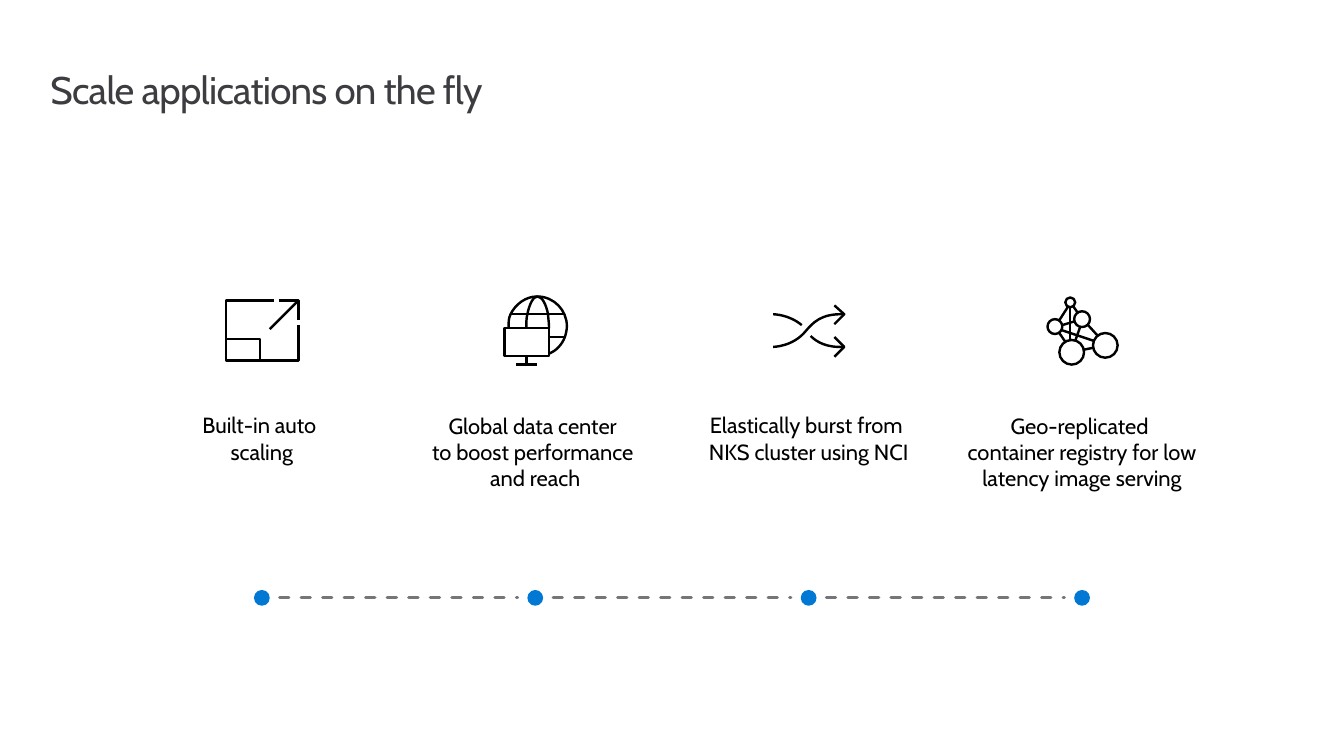
import lxml.etree
import pptx
import pptx.dml.color
import pptx.enum.dml
import pptx.enum.shapes
import pptx.enum.text
import pptx.oxml.ns
import pptx.util

Inches = pptx.util.Inches
qn = pptx.oxml.ns.qn
FONT = "Cabin"
FIRST_CENTER, LAST_CENTER = 2.65, 10.95
ICON_TOP, TEXT_TOP, TIMELINE_Y = 3.0, 4.01, 6.05


def color(hex_string):
    return pptx.dml.color.RGBColor.from_string(hex_string)


def line(*points):
    return False, points


def curve(*points):
    """A start point, then two control points and an end point per segment."""
    return True, points


def circle(left, top, diameter):
    radius = diameter / 2
    pull = 0.55
    unit = [(-1, 0), (-1, -pull), (-pull, -1), (0, -1), (pull, -1), (1, -pull), (1, 0),
            (1, pull), (pull, 1), (0, 1), (-pull, 1), (-1, pull), (-1, 0)]
    return curve(*((left + radius * (1 + x), top + radius * (1 + y)) for x, y in unit))


# Each icon is a list of strokes, in inches from the icon's top left corner
RESIZE_ICON = [
    line((0.53, 0.04), (0.73, 0.04), (0.73, 0.24)),
    line((0.73, 0.04), (0.44, 0.33)),
    line((0.48, 0.04), (0, 0.04), (0, 0.65), (0.73, 0.65), (0.73, 0.29)),
    line((0.34, 0.65), (0.34, 0.43), (0, 0.43)),
]
GLOBE_ICON = [
    curve((0.5, 0.58), (0.57, 0.55), (0.63, 0.49), (0.66, 0.41),
          (0.67, 0.38), (0.68, 0.34), (0.68, 0.3),
          (0.68, 0.14), (0.55, 0), (0.38, 0),
          (0.26, 0), (0.16, 0.08), (0.11, 0.18),
          (0.09, 0.22), (0.09, 0.26), (0.09, 0.32)),
    curve((0.27, 0.32), (0.27, 0.26), (0.27, 0.22), (0.28, 0.18),
          (0.3, 0.08), (0.34, 0), (0.38, 0),
          (0.43, 0), (0.47, 0.08), (0.49, 0.18),
          (0.49, 0.22), (0.5, 0.26), (0.5, 0.32)),
    line((0.11, 0.18), (0.66, 0.18)),
    line((0.5, 0.41), (0.66, 0.41)),
    line((0.05, 0.32), (0.5, 0.32), (0.5, 0.6), (0.05, 0.6), (0.05, 0.32)),
    line((0.27, 0.6), (0.27, 0.69)),
    line((0.17, 0.69), (0.38, 0.69)),
]
SHUFFLE_ICON = [
    curve((0.72, 0.51), (0.54, 0.52), (0.44, 0.46), (0.38, 0.4)),
    curve((0.29, 0.29), (0.16, 0.18), (0, 0.18), (0, 0.18)),
    curve((0.72, 0.18), (0.48, 0.17), (0.4, 0.27), (0.33, 0.35),
          (0.2, 0.51), (0, 0.51), (0, 0.51)),
    line((0.62, 0.28), (0.72, 0.18), (0.62, 0.09)),
    line((0.62, 0.61), (0.72, 0.51), (0.62, 0.41)),
]
NETWORK_ICON = [
    circle(0.19, 0.01, 0.1),
    circle(0.01, 0.23, 0.15),
    circle(0.13, 0.44, 0.25),
    circle(0.28, 0.15, 0.16),
    circle(0.47, 0.37, 0.25),
    line((0.47, 0.52), (0.37, 0.54)),
    line((0.16, 0.29), (0.29, 0.25)),
    line((0.29, 0.45), (0.34, 0.31)),
    line((0.19, 0.46), (0.13, 0.37)),
    line((0.48, 0.45), (0.15, 0.34)),
    line((0.22, 0.1), (0.13, 0.24)),
    line((0.52, 0.4), (0.42, 0.29)),
    line((0.24, 0.44), (0.24, 0.11)),
    line((0.27, 0.1), (0.32, 0.17)),
]

# Icon, caption lines and caption height of each feature
FEATURES = [
    (RESIZE_ICON, ["Built-in auto ", "scaling"], 0.86),
    (GLOBE_ICON, ["Global data center ", "to boost performance ", "and reach"], 1.12),
    (SHUFFLE_ICON, ["Elastically burst from ", "NKS cluster using NCI"], 0.86),
    (NETWORK_ICON, ["Geo-replicated ",
                    "container registry for low latency image serving"], 1.12),
]


def add_text(page, left, top, width, height, lines, size, hex_string, inset=0):
    box = page.shapes.add_textbox(Inches(left), Inches(top), Inches(width), Inches(height))
    frame = box.text_frame
    frame.word_wrap = True
    frame.auto_size = pptx.enum.text.MSO_AUTO_SIZE.SHAPE_TO_FIT_TEXT
    frame.margin_left = frame.margin_right = Inches(inset)
    frame.margin_top = frame.margin_bottom = Inches(inset)
    para = frame.paragraphs[0]
    for number, text in enumerate(lines):
        if number:
            para.add_line_break()
        para.add_run().text = text
    para.font.name = FONT
    para.font.size = pptx.util.Pt(size)
    para.font.color.rgb = color(hex_string)
    return para


def add_title(page, left, top, width, height):
    para = add_text(page, left, top, width, height,
                    ["Scale applications on the fly"], 28, "3C3C41")
    para.line_spacing = pptx.util.Pt(32)
    for span in para.runs:
        span.font._element.set("spc", "-50")


def bend(segments):
    """Turn each three straight segments into one cubic curve."""
    for i in range(0, len(segments), 3):
        cubic = lxml.etree.Element(qn("a:cubicBezTo"))
        segments[i].addprevious(cubic)
        for segment in segments[i:i + 3]:
            cubic.append(segment[0])
            segment.getparent().remove(segment)


def add_icon(page, left, top, strokes):
    points = [[(Inches(x), Inches(y)) for x, y in stroke] for _, stroke in strokes]
    builder = page.shapes.build_freeform(*points[0][0], scale=1.0)
    for number, stroke in enumerate(points):
        if number:
            builder.move_to(*stroke[0])
        builder.add_line_segments(stroke[1:], close=False)
    icon = builder.convert_to_shape(Inches(left), Inches(top))
    segments = list(icon._element.iter(qn("a:lnTo")))
    for curved, stroke in strokes:
        count = len(stroke) - 1
        if curved:
            bend(segments[:count])
        segments = segments[count:]
    icon.shadow.inherit = False
    icon.fill.background()
    icon.line.color.rgb = color("000000")
    icon.line.width = pptx.util.Pt(1.75)


def add_feature(page, center, strokes, lines, height, width=2.9):
    add_icon(page, center - 0.36, ICON_TOP, strokes)
    para = add_text(page, center - width / 2, TEXT_TOP, width, height,
                    lines, 16, "000000", inset=0.16)
    para.alignment = pptx.enum.text.PP_ALIGN.CENTER
    para.space_after = pptx.util.Pt(5.9)


def add_timeline(page, centers, y, diameter=0.16, gap=0.18):
    # Dots
    for center in centers:
        dot = page.shapes.add_shape(
            pptx.enum.shapes.MSO_SHAPE.OVAL, Inches(center - diameter / 2),
            Inches(y - diameter / 2), Inches(diameter), Inches(diameter))
        dot.shadow.inherit = False
        dot.fill.solid()
        dot.fill.fore_color.rgb = color("0078D4")
        dot.line.fill.background()
    # Dashed links with round ends between neighbouring dots
    for start, end in zip(centers, centers[1:]):
        link = page.shapes.add_connector(
            pptx.enum.shapes.MSO_CONNECTOR.STRAIGHT,
            Inches(start + gap), Inches(y), Inches(end - gap), Inches(y))
        link.line.color.rgb = color("75757A")
        link.line.width = pptx.util.Pt(2.25)
        link.line.dash_style = pptx.enum.dml.MSO_LINE.DASH
        properties = link._element.spPr
        properties.find(qn("a:ln")).set("cap", "rnd")
        lxml.etree.SubElement(properties, qn("a:effectLst"))


def main():
    deck = pptx.Presentation()
    deck.slide_width, deck.slide_height = Inches(13.6), Inches(7.65)
    page = deck.slides.add_slide(deck.slide_layouts[6])
    pitch = (LAST_CENTER - FIRST_CENTER) / (len(FEATURES) - 1)
    centers = [FIRST_CENTER + pitch * i for i in range(len(FEATURES))]
    add_title(page, 0.51, 0.69, 12.9, 0.45)
    add_timeline(page, centers, TIMELINE_Y)
    for center, (strokes, lines, height) in zip(centers, FEATURES):
        add_feature(page, center, strokes, lines, height)
    deck.save("out.pptx")


if __name__ == "__main__":
    main()
